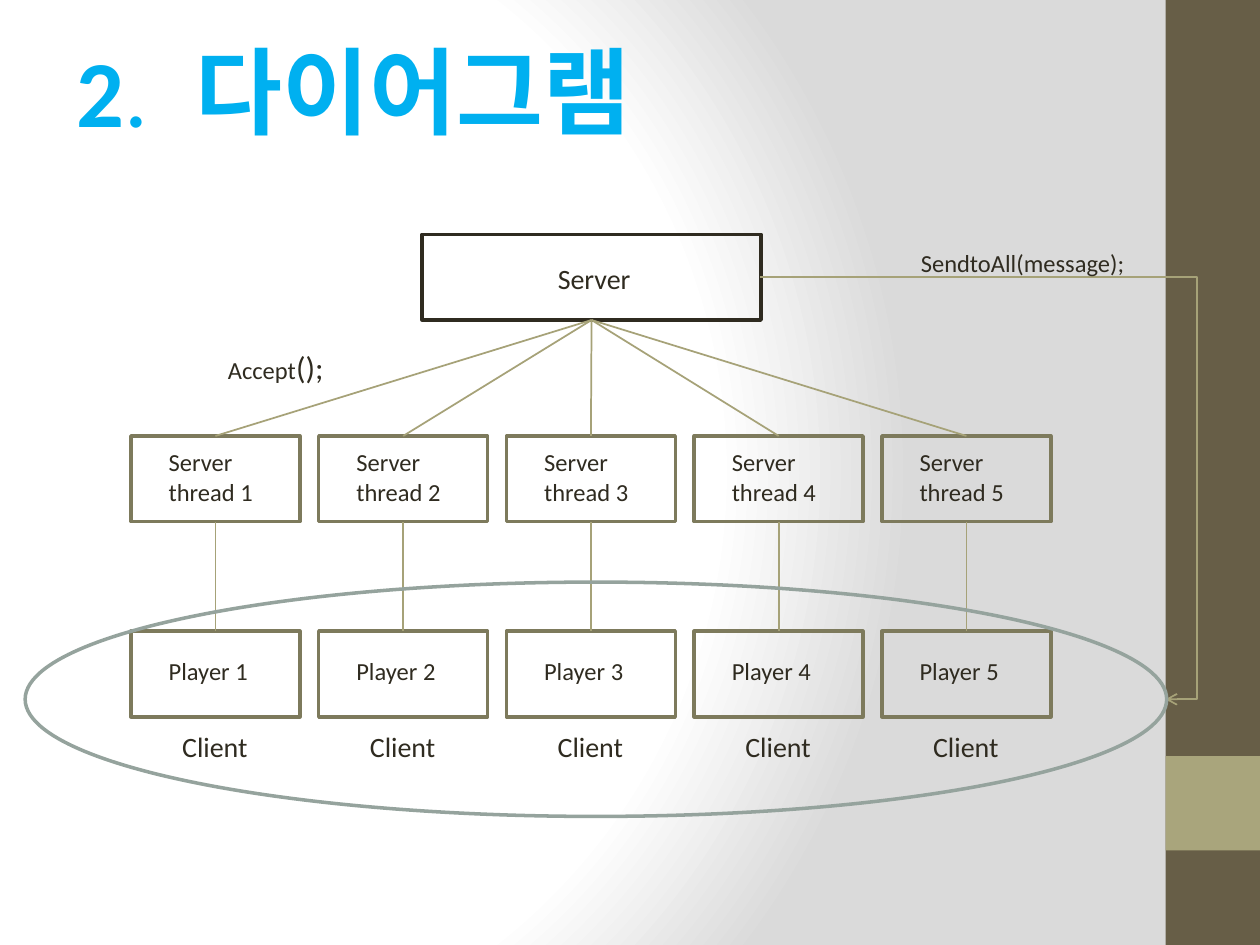
from pptx import Presentation
from pptx.dml.color import RGBColor
from pptx.enum import shapes, text
from pptx.oxml import parse_xml
from pptx.oxml.ns import nsdecls, qn
from pptx.oxml.xmlchemy import OxmlElement
from pptx.util import Inches, Pt

COLORS = {
    "ink": "2F2B20",
    "title": "00B0F0",
    "box": "7D7A5C",
    "link": "A6A278",
    "ring": "95A39D",
    "band": "675E47",
    "accent": "A9A57C",
}
FONT = "Calibri"
PLAYERS = 5
FIRST_LEFT, PITCH = 1.04, 1.49
BOX_WIDTH, BOX_HEIGHT = 1.34, 0.68
THREAD_TOP, PLAYER_TOP = 3.46, 5.01


def rgb(name):
    return RGBColor.from_string(COLORS[name])


def paint_background(slide):
    slide.background.fill.gradient()
    linear = slide.element.find(".//" + qn("a:gradFill"))
    radial = parse_xml(
        f'<a:gradFill rotWithShape="1" {nsdecls("a")}><a:gsLst>'
        '<a:gs pos="0"><a:srgbClr val="FFFFFF"/></a:gs>'
        '<a:gs pos="75000"><a:srgbClr val="FFFFFF"/></a:gs>'
        '<a:gs pos="100000"><a:srgbClr val="DADADA"/></a:gs></a:gsLst>'
        '<a:path path="circle">'
        '<a:fillToRect l="20000" t="50000" r="100000" b="50000"/>'
        "</a:path></a:gradFill>"
    )
    linear.getparent().replace(linear, radial)


def add_shape(slide, kind, area, fill=None, line=None):
    shape = slide.shapes.add_shape(kind, *map(Inches, area))
    shape.shadow.inherit = False
    if fill:
        shape.fill.solid()
        shape.fill.fore_color.rgb = rgb(fill)
    else:
        shape.fill.background()
    if line:
        shape.line.color.rgb = rgb(line)
        shape.line.width = Pt(2)
    else:
        shape.line.fill.background()
    return shape


def add_box(slide, area, line="box"):
    return add_shape(slide, shapes.MSO_SHAPE.RECTANGLE, area, line=line)


def add_label(slide, area, lines, size=14, centered=False):
    label = slide.shapes.add_textbox(*map(Inches, area))
    frame = label.text_frame
    frame.word_wrap = True
    frame.text = "\n".join(lines)
    for paragraph in frame.paragraphs:
        if centered:
            paragraph.alignment = text.PP_ALIGN.CENTER
        for run in paragraph.runs:
            run.font.name = FONT
            run.font.size = Pt(size)
            run.font.color.rgb = rgb("ink")
    return label


def add_link(slide, kind, start=(0, 0), end=(0, 0)):
    link = slide.shapes.add_connector(kind, *map(Inches, (*start, *end)))
    link.line.color.rgb = rgb("link")
    link.line.width = Pt(1)
    link.element.spPr.append(OxmlElement("a:effectLst"))
    return link


def join_boxes(slide, upper, lower):
    link = add_link(slide, shapes.MSO_CONNECTOR.STRAIGHT)
    link.begin_connect(lower, 0)
    link.end_connect(upper, 2)


def add_broadcast_arrow(slide):
    arrow = add_link(slide, shapes.MSO_CONNECTOR.ELBOW, (6.03, 2.2), (9.25, 5.55))
    geometry = arrow.element.spPr.find(qn("a:prstGeom"))
    for old in geometry.findall(qn("a:avLst")):
        geometry.remove(old)
    geometry.append(parse_xml(
        f'<a:avLst {nsdecls("a")}><a:gd name="adj1" fmla="val 107800"/></a:avLst>'
    ))
    head = OxmlElement("a:tailEnd")
    head.set("type", "arrow")
    arrow.line._get_or_add_ln().append(head)


def set_title(slide):
    title = slide.shapes.title
    title.left, title.top, title.width, title.height = map(
        Inches, (0.51, 0.21, 4.75, 1.01))
    frame = title.text_frame
    frame.word_wrap = True
    frame.auto_size = text.MSO_AUTO_SIZE.NONE
    frame.vertical_anchor = text.MSO_ANCHOR.TOP
    paragraph = frame.paragraphs[0]
    paragraph.alignment = text.PP_ALIGN.LEFT
    paragraph._p.get_or_add_pPr().append(parse_xml(
        f'<a:tabLst {nsdecls("a")}><a:tab pos="{Inches(0.94)}" algn="l"/></a:tabLst>'
    ))
    for words, bold in (("2", True), (".\t", False), ("다이어그램", True)):
        run = paragraph.add_run()
        run.text = words
        run.font.name = FONT
        run.font.size = Pt(54)
        run.font.bold = bold
        run.font.color.rgb = rgb("title")


def add_player_column(slide, server, number):
    left = FIRST_LEFT + PITCH * (number - 1)
    thread = add_box(slide, (left, THREAD_TOP, BOX_WIDTH, BOX_HEIGHT))
    player = add_box(slide, (left, PLAYER_TOP, BOX_WIDTH, BOX_HEIGHT))
    join_boxes(slide, server, thread)
    join_boxes(slide, thread, player)
    add_label(slide, (left + 0.2, 3.5, 0.94, 0.57), ["Server", f"thread {number}"])
    add_label(slide, (left + 0.2, 5.16, 0.94, 0.35), [f"Player {number}"])
    add_label(slide, (left - 0.33, 5.74, 1.99, 0.37), ["Client"], 16, True)


def main():
    deck = Presentation()
    deck.slide_width, deck.slide_height = Inches(10), Inches(7.5)
    slide = deck.slides.add_slide(deck.slide_layouts[5])
    paint_background(slide)
    rectangle = shapes.MSO_SHAPE.RECTANGLE
    add_shape(slide, rectangle, (9.25, 0, 0.75, 7.5), fill="band")
    add_shape(slide, rectangle, (9.25, 6, 0.75, 0.75), fill="accent")
    set_title(slide)

    server = add_box(slide, (3.35, 1.86, 2.69, BOX_HEIGHT), "ink")
    add_label(slide, (3.72, 2.03, 1.99, 0.37), ["Server"], 16, True)
    for number in range(1, PLAYERS + 1):
        add_player_column(slide, server, number)

    add_broadcast_arrow(slide)
    add_shape(slide, shapes.MSO_SHAPE.OVAL, (0.2, 4.62, 9.06, 1.86), line="ring")
    add_label(slide, (7.21, 1.92, 2.47, 0.34), ["SendtoAll(message);"])
    accept = add_label(slide, (1.71, 2.71, 1.31, 0.4), ["Accept"])
    call = accept.text_frame.paragraphs[0].add_run()
    call.text = "();"
    call.font.name = FONT
    call.font.size = Pt(18)
    call.font.color.rgb = rgb("ink")
    deck.save("out.pptx")


if __name__ == "__main__":
    main()
